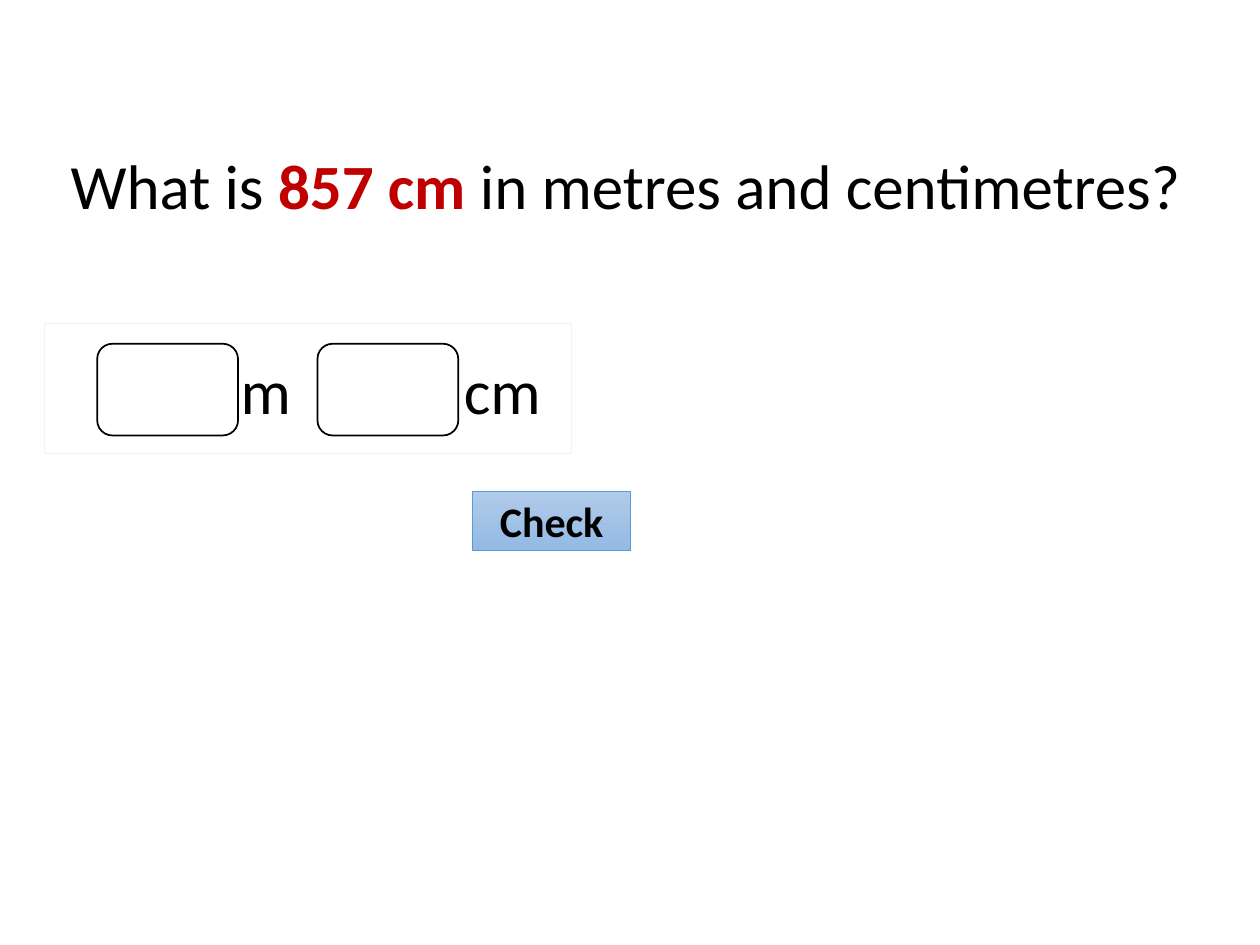
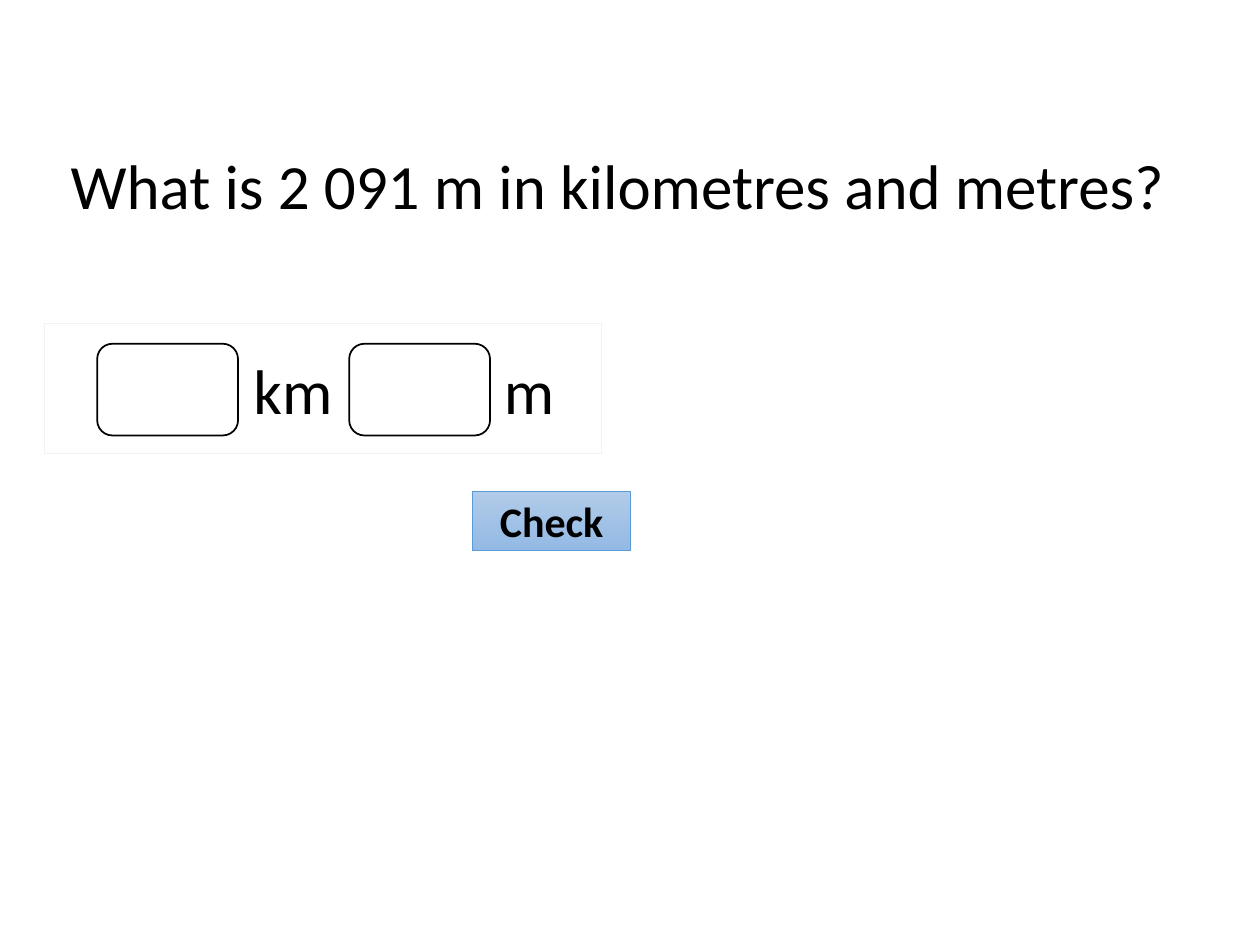
"""Build two unit conversion questions, each with answer boxes and a check button."""
from lxml import etree
from pptx import Presentation
from pptx.dml.color import RGBColor
from pptx.enum import shapes, text
from pptx.oxml.ns import qn
from pptx.util import Cm, Pt

FONT = "Calibri"
BLACK, WHITE, RED = "000000", "FFFFFF", "C00000"
PALE, BLUE = "F2F2F2", "5B9BD5"
SHADES = "B1CBE9", "93B9E4"
RECT = shapes.MSO_SHAPE.RECTANGLE
ROUND = shapes.MSO_SHAPE.ROUNDED_RECTANGLE


def rgb(code):
    return RGBColor.from_string(code)


def write(par, words, size=36, color=BLACK, bold=False):
    run = par.add_run()
    run.text = words
    run.font.name = FONT
    run.font.size = Pt(size)
    run.font.bold = bold
    run.font.color.rgb = rgb(color)


tasks = [
    {"ask": [("What is ", BLACK, False), ("857 cm ", RED, True),
             ("in metres and centimetres?", BLACK, False)],
     "span": 23.06, "wide": 10.64, "next": 6.4,
     "units": [("m", 3.96), ("cm", 8.46)]},
    {"ask": [("What is 2 091 m in kilometres and metres?", BLACK, False)],
     "span": 22.76, "wide": 11.23, "next": 7.04,
     "units": [("km", 4.22), ("m", 9.27)]},
]

deck = Presentation()
deck.slide_width, deck.slide_height = Cm(25.4), Cm(19.05)

for task in tasks:
    slide = deck.slides.add_slide(deck.slide_layouts[5])

    title = slide.shapes.title
    title.left, title.top = Cm(1.17), Cm(2.82)
    title.width, title.height = Cm(task["span"]), Cm(1.8)
    frame = title.text_frame
    frame.word_wrap = False
    frame.auto_size = text.MSO_AUTO_SIZE.NONE
    frame.vertical_anchor = text.MSO_ANCHOR.TOP
    par = frame.paragraphs[0]
    par.alignment = text.PP_ALIGN.LEFT
    for words, color, bold in task["ask"]:
        write(par, words, color=color, bold=bold)

    panel = slide.shapes.add_shape(RECT, Cm(0.89), Cm(6.53), Cm(task["wide"]), Cm(2.62))
    panel.shadow.inherit = False
    panel.fill.background()
    panel.line.color.rgb = rgb(PALE)
    panel.line.width = Pt(0.5)
    frame = panel.text_frame
    frame.margin_left = frame.margin_right = 0
    frame.vertical_anchor = text.MSO_ANCHOR.MIDDLE
    par = frame.paragraphs[0]
    par.alignment = text.PP_ALIGN.LEFT
    tabs = etree.SubElement(par._p.get_or_add_pPr(), qn("a:tabLst"))
    for unit, stop in task["units"]:
        etree.SubElement(tabs, qn("a:tab"), pos=str(int(Cm(stop))), algn="l")
        write(par, "\t" + unit)

    for left in (1.96, task["next"]):
        box = slide.shapes.add_shape(ROUND, Cm(left), Cm(6.93), Cm(2.84), Cm(1.85))
        box.shadow.inherit = False
        box.fill.solid()
        box.fill.fore_color.rgb = rgb(WHITE)
        box.line.color.rgb = rgb(BLACK)
        box.line.width = Pt(1)

    check = slide.shapes.add_shape(RECT, Cm(9.52), Cm(9.91), Cm(3.2), Cm(1.19))
    check.shadow.inherit = False
    check.fill.gradient()
    check.fill.gradient_angle = 270
    for stop, shade, place in zip(check.fill.gradient_stops, SHADES, (0, 1)):
        stop.color.rgb = rgb(shade)
        stop.position = place
    check.line.color.rgb = rgb(BLUE)
    check.line.width = Pt(0.5)
    check.text_frame.vertical_anchor = text.MSO_ANCHOR.MIDDLE
    par = check.text_frame.paragraphs[0]
    par.alignment = text.PP_ALIGN.CENTER
    write(par, "Check", size=24, bold=True)

deck.save("out.pptx")
